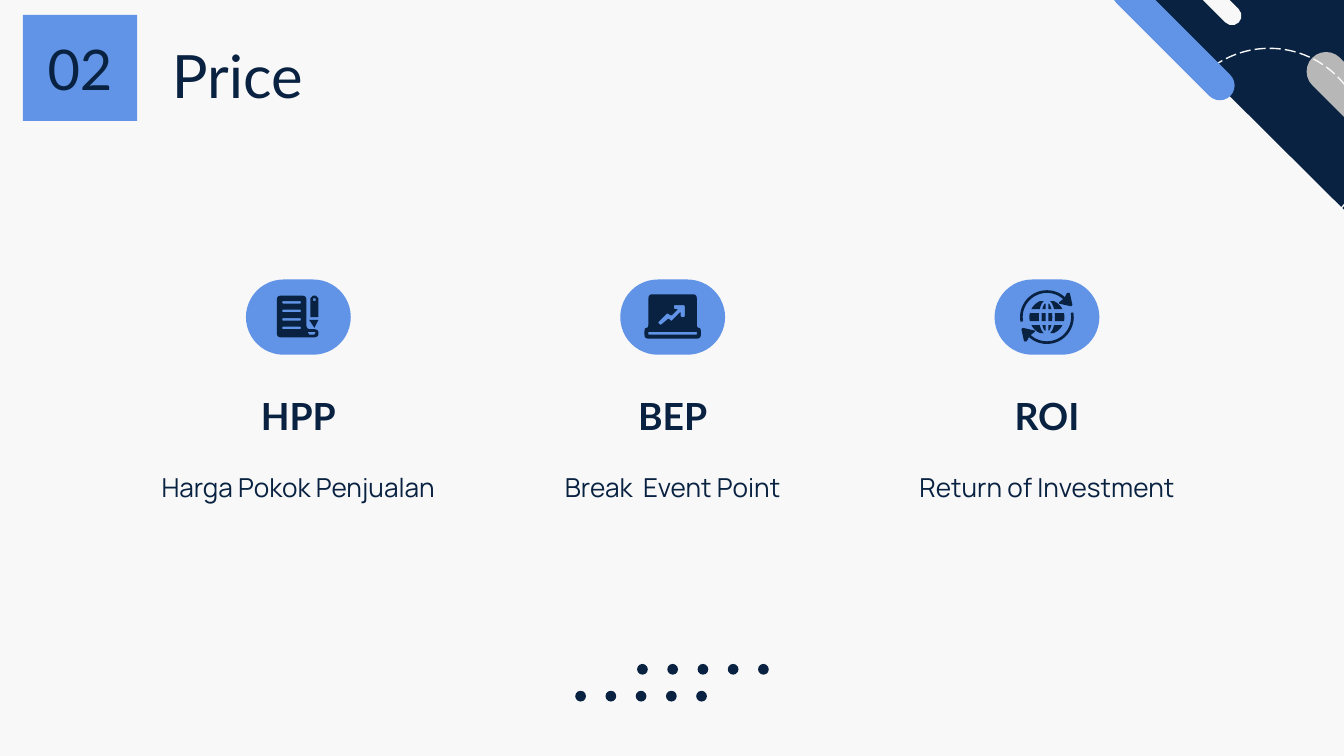
"""Build the Price slide: three measures with icons under a numbered heading."""
import dataclasses
import math

import pptx
import pptx.dml.color
import pptx.enum.dml
import pptx.enum.shapes
import pptx.enum.text
import pptx.util

Inches = pptx.util.Inches
Kind = pptx.enum.shapes.MSO_SHAPE
Align = pptx.enum.text.PP_ALIGN
Anchor = pptx.enum.text.MSO_ANCHOR


@dataclasses.dataclass(frozen=True)
class Theme:
    """Colours, fonts and type sizes."""
    paper: str = "F8F8F8"
    navy: str = "092241"
    blue: str = "6194E6"
    grey: str = "B7B7B7"
    heading_font: str = "Lato"
    body_font: str = "Manrope"
    title_size: int = 32
    number_size: int = 30
    measure_size: int = 20
    body_size: int = 14


THEME = Theme()


def rgb(code):
    """Turn a hex code into a colour."""
    return pptx.dml.color.RGBColor.from_string(code)


def paint(shape, color):
    """Give a shape a flat fill without line or shadow."""
    shape.shadow.inherit = False
    shape.fill.solid()
    shape.fill.fore_color.rgb = rgb(color)
    shape.line.fill.background()


def add_preset(slide, kind, box, color, rotation=0):
    """Add a flat preset shape, fully rounded if it is a capsule."""
    shape = slide.shapes.add_shape(kind, *map(Inches, box))
    if kind == Kind.ROUNDED_RECTANGLE:
        shape.adjustments[0] = 0.5
    shape.rotation = rotation
    paint(shape, color)
    return shape


def write(shape, words, size, font, bold=False, align=Align.CENTER,
          anchor=Anchor.TOP, spacing=1.0):
    """Set and format the text of a shape."""
    frame = shape.text_frame
    frame.word_wrap = True
    frame.vertical_anchor = anchor
    frame.margin_left = frame.margin_right = Inches(0.1)
    frame.margin_top = frame.margin_bottom = Inches(0.1)
    frame.text = words
    paragraph = frame.paragraphs[0]
    paragraph.alignment = align
    paragraph.line_spacing = spacing
    style = paragraph.runs[0].font
    style.size = pptx.util.Pt(size)
    style.name = font
    style.bold = bold
    style.color.rgb = rgb(THEME.navy)


def add_text(slide, box, words, size, font, **layout):
    """Add a text box."""
    write(slide.shapes.add_textbox(*map(Inches, box)), words, size, font, **layout)


def rectangle(x, y, width, height):
    """List the corners of a rectangle."""
    return [(x, y), (x + width, y), (x + width, y + height), (x, y + height)]


def soften(corners, radius):
    """Round every corner of an outline."""
    outline = []
    for i, corner in enumerate(corners):
        ends = []
        for neighbour in (corners[i - 1], corners[(i + 1) % len(corners)]):
            share = min(0.5, radius / math.dist(corner, neighbour))
            ends.append([c + (n - c) * share for c, n in zip(corner, neighbour)])
        for t in (0, 0.25, 0.5, 0.75, 1):
            outline.append(tuple((1 - t) ** 2 * a + 2 * t * (1 - t) * c + t * t * b
                                 for a, c, b in zip(ends[0], corner, ends[1])))
    return outline


def add_outline(slide, center, *contours):
    """Add a navy freeform around a centre; later contours cut holes."""
    placed = [[(Inches(center[0] + x), Inches(center[1] + y)) for x, y in contour]
              for contour in contours]
    builder = slide.shapes.build_freeform(*placed[0][0])
    builder.add_line_segments(placed[0][1:])
    for hole in placed[1:]:
        builder.move_to(*hole[0])
        builder.add_line_segments(hole[1:])
    paint(builder.convert_to_shape(), THEME.navy)


def add_document_icon(slide, center):
    """Draw a written sheet with a pencil."""
    sheet = [(-0.16, -0.16), (0.06, -0.16), (0.06, 0.09),
             (0.15, 0.09), (0.15, 0.15), (-0.16, 0.15)]
    lines = [soften(rectangle(-0.12, -0.12 + 0.19 * row / 3, 0.14, 0.02), 0.01)
             for row in range(4)]
    curl = [(0.07, 0.11), (0.13, 0.11), (0.12, 0.13), (0.08, 0.13)]
    add_outline(slide, center, soften(sheet, 0.03), *lines, curl)
    add_outline(slide, center, [(0.08, 0.02), (0.15, 0.02), (0.12, 0.08)])
    pencil = [(0.09, 0), (0.09, -0.14), (0.11, -0.16),
              (0.13, -0.16), (0.15, -0.14), (0.15, 0)]
    add_outline(slide, center, pencil, rectangle(0.11, -0.14, 0.02, 0.02))


def add_laptop_icon(slide, center):
    """Draw a laptop showing a rising trend."""
    laptop = [(-0.18, -0.17), (0.18, -0.17), (0.18, 0.08), (0.21, 0.08),
              (0.21, 0.16), (-0.21, 0.16), (-0.21, 0.08), (-0.18, 0.08)]
    trend = [(0.01, -0.09), (0.09, -0.09), (0.09, 0), (0.06, 0), (0.06, -0.04),
             (-0.01, 0.03), (-0.03, 0.01), (-0.09, 0.06), (-0.11, 0.04),
             (-0.04, -0.03), (-0.01, -0.01), (0.04, -0.06), (0.01, -0.06)]
    add_outline(slide, center, soften(laptop, 0.03), soften(trend, 0.01),
                rectangle(-0.18, 0.11, 0.36, 0.02))


def arc(radius, start, end):
    """List points along an arc given in degrees."""
    angles = [math.radians(start + (end - start) * i / 24) for i in range(25)]
    return [(radius * math.cos(a), radius * math.sin(a)) for a in angles]


def meridian(half_width, half_height, y):
    """Give the half width of an ellipse at a height."""
    return half_width * math.sqrt(max(0, 1 - (y / half_height) ** 2))


def add_globe_icon(slide, center):
    """Draw a globe circled by two arrows."""
    head = [(0.15, -0.18), (0.17, -0.18), (0.19, -0.09),
            (0.18, -0.08), (0.09, -0.1), (0.09, -0.11)]
    arrow = arc(0.2, 170, 312) + head + arc(0.18, 312, 170)
    for turn in (1, -1):
        add_outline(slide, center, [(turn * x, turn * y) for x, y in arrow])
    for start, inner_end, outer_end in ((-0.03, 0.03, 0.03), (0.06, 0.1, 0.12),
                                        (-0.06, -0.1, -0.12)):
        inner_rows = [start + (inner_end - start) * i / 6 for i in range(7)]
        outer_rows = [start + (outer_end - start) * i / 6 for i in range(7)]
        inner = [(0.01, start)] + [(meridian(0.04, 0.11, y), y) for y in inner_rows]
        inner.append((0.01, inner_end))
        outer = [(meridian(0.06, 0.13, y), y) for y in outer_rows]
        outer += [(meridian(0.13, 0.13, y), y) for y in reversed(outer_rows)]
        for side in (1, -1):
            for piece in (inner, outer):
                add_outline(slide, center, [(side * x, y) for x, y in piece])


def add_corner(slide):
    """Decorate the top right corner."""
    capsule = Kind.ROUNDED_RECTANGLE
    add_preset(slide, Kind.RIGHT_TRIANGLE, (8.37, -0.06, 1.7, 1.69), THEME.navy, 180)
    add_preset(slide, capsule, (9.58, 0.73, 1.26, 0.29), THEME.grey, 45)
    orbit = add_preset(slide, Kind.OVAL, (8.73, 0.36, 1.43, 1.43), THEME.paper)
    orbit.fill.background()
    orbit.line.color.rgb = rgb(THEME.paper)
    orbit.line.width = pptx.util.Pt(0.75)
    orbit.line.dash_style = pptx.enum.dml.MSO_LINE.LONG_DASH
    add_preset(slide, capsule, (8.13, 0.18, 1.2, 0.22), THEME.blue, 45)
    add_preset(slide, capsule, (8.5, -0.2, 0.84, 0.14), THEME.paper, 45)


def add_dots(slide):
    """Add two staggered rows of dots."""
    for left, top in ((4.74, 4.94), (4.28, 5.14)):
        for i in range(5):
            add_preset(slide, Kind.OVAL, (left + 0.9 * i / 4, top, 0.08, 0.08), THEME.navy)


def add_measure(slide, left, short, meaning, add_icon):
    """Add one column: icon, abbreviation and meaning."""
    add_preset(slide, Kind.ROUNDED_RECTANGLE, (left + 0.8, 2.08, 0.78, 0.56), THEME.blue)
    add_icon(slide, (left + 1.19, 2.36))
    add_text(slide, (left, 2.89, 2.38, 0.47), short, THEME.measure_size,
             THEME.heading_font, bold=True, anchor=Anchor.BOTTOM)
    add_text(slide, (left, 3.37, 2.38, 0.95), meaning, THEME.body_size,
             THEME.body_font, spacing=1.15)


def main():
    """Build and save the slide."""
    deck = pptx.Presentation()
    deck.slide_width, deck.slide_height = Inches(10), Inches(10 * 9 / 16)
    slide = deck.slides.add_slide(deck.slide_layouts[6])
    slide.background.fill.solid()
    slide.background.fill.fore_color.rgb = rgb(THEME.paper)
    add_corner(slide)
    add_dots(slide)
    add_text(slide, (1.18, 0.19, 8.43, 0.63), "Price", THEME.title_size,
             THEME.heading_font, align=Align.LEFT)
    measures = (("HPP", "Harga Pokok Penjualan", add_document_icon),
                ("BEP", "Break  Event Point", add_laptop_icon),
                ("ROI", "Return of Investment", add_globe_icon))
    for i, measure in enumerate(measures):
        add_measure(slide, 1.03 + 5.57 * i / 2, *measure)
    number = add_preset(slide, Kind.RECTANGLE, (0.17, 0.11, 0.85, 0.79), THEME.blue)
    write(number, "02", THEME.number_size, THEME.heading_font, anchor=Anchor.MIDDLE)
    deck.save("out.pptx")


if __name__ == "__main__":
    main()
